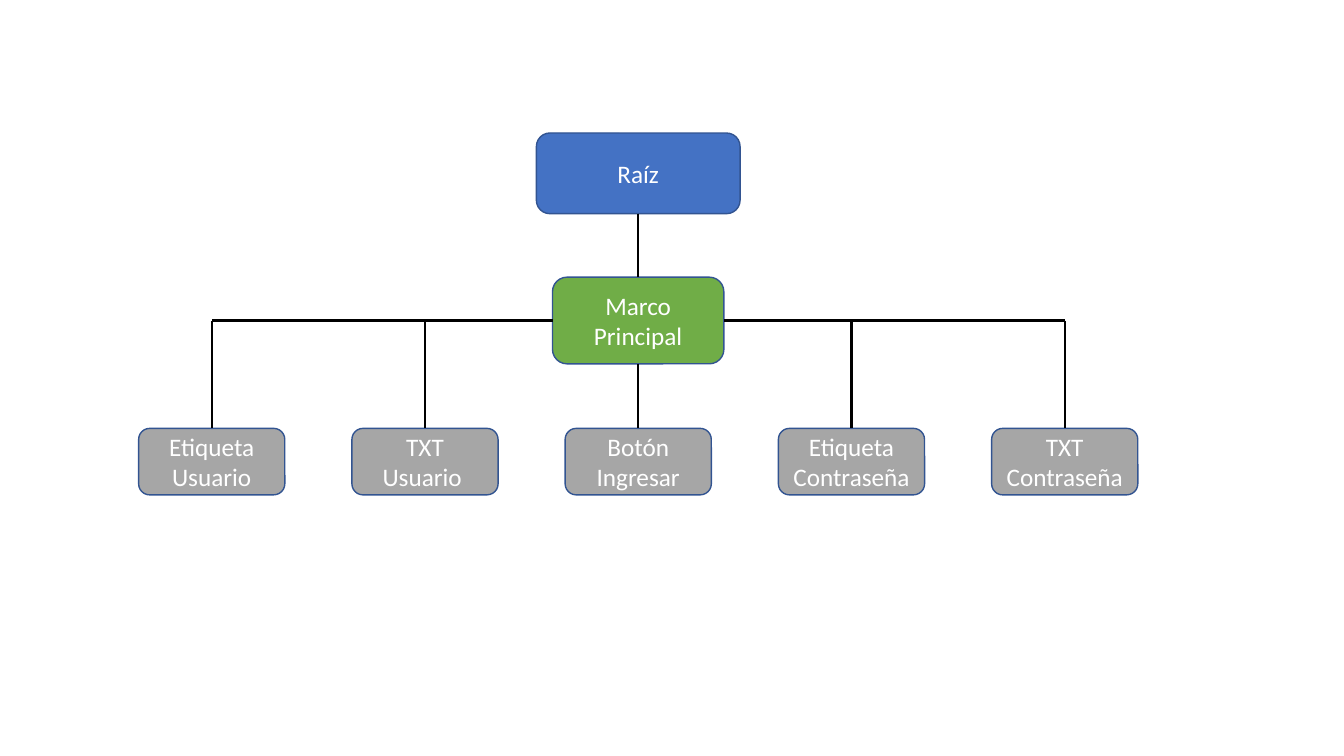
from pptx import Presentation
from pptx.dml.color import RGBColor
from pptx.enum import shapes, text
from pptx.oxml.ns import qn
from pptx.util import Inches, Pt

# Content
ROOT = "Raíz"
FRAME = "Marco Principal"
WIDGETS = ["Etiqueta Usuario", "TXT Usuario ", "Botón Ingresar",
           "Etiqueta Contraseña", "TXT Contraseña"]

THEME = {
    "root": "4472C4", "frame": "70AD47", "widget": "A6A6A6",
    "border": "325491", "link": "000000", "text": "FFFFFF",
    "font": "Calibri", "size": 18, "border_width": 1, "link_width": 1.5,
}

# Layout in inches: every level is centred on one axis
AXIS = 6.33
WIDGET_STEP = 2.115
ROOT_TOP, ROOT_WIDTH, ROOT_HEIGHT = 1.32, 2.02, 0.8
FRAME_TOP, FRAME_WIDTH, FRAME_HEIGHT = 2.75, 1.7, 0.86
WIDGET_TOP, WIDGET_WIDTH, WIDGET_HEIGHT = 4.25, 1.45, 0.66


def color(name):
    return RGBColor.from_string(THEME[name])


def add_node(page, label, fill, center, top, width, height):
    box = page.shapes.add_shape(
        shapes.MSO_SHAPE.ROUNDED_RECTANGLE, Inches(center - width / 2),
        Inches(top), Inches(width), Inches(height))
    box.shadow.inherit = False
    box.fill.solid()
    box.fill.fore_color.rgb = color(fill)
    box.line.color.rgb = color("border")
    box.line.width = Pt(THEME["border_width"])
    frame = box.text_frame
    frame.word_wrap = True
    frame.vertical_anchor = text.MSO_ANCHOR.MIDDLE
    para = frame.paragraphs[0]
    para.alignment = text.PP_ALIGN.CENTER
    span = para.add_run()
    span.text = label
    span.font.name = THEME["font"]
    span.font.size = Pt(THEME["size"])
    span.font.color.rgb = color("text")


def add_link(page, x1, y1, x2, y2):
    link = page.shapes.add_connector(
        shapes.MSO_CONNECTOR.STRAIGHT,
        Inches(x1), Inches(y1), Inches(x2), Inches(y2))
    link.line.color.rgb = color("link")
    link.line.width = Pt(THEME["link_width"])
    properties = link._element.spPr
    properties.append(properties.makeelement(qn("a:effectLst"), {}))


def main():
    deck = Presentation()
    deck.slide_width, deck.slide_height = Inches(13.33), Inches(7.5)
    page = deck.slides.add_slide(deck.slide_layouts[6])

    middle = len(WIDGETS) // 2
    centers = [AXIS + (i - middle) * WIDGET_STEP for i in range(len(WIDGETS))]
    frame_bottom = FRAME_TOP + FRAME_HEIGHT
    branch = FRAME_TOP + FRAME_HEIGHT / 2

    # Nodes
    add_node(page, ROOT, "root", AXIS, ROOT_TOP, ROOT_WIDTH, ROOT_HEIGHT)
    add_node(page, FRAME, "frame", AXIS, FRAME_TOP, FRAME_WIDTH, FRAME_HEIGHT)
    for label, center in zip(WIDGETS, centers):
        add_node(page, label, "widget", center, WIDGET_TOP, WIDGET_WIDTH, WIDGET_HEIGHT)

    # Trunk and side branches
    add_link(page, AXIS, ROOT_TOP + ROOT_HEIGHT, AXIS, FRAME_TOP)
    add_link(page, AXIS - FRAME_WIDTH / 2, branch, centers[0], branch)
    add_link(page, AXIS + FRAME_WIDTH / 2, branch, centers[-1], branch)

    # Drops to the widgets
    for i, center in enumerate(centers):
        start = frame_bottom if i == middle else branch
        add_link(page, center, start, center, WIDGET_TOP)

    deck.save("out.pptx")


if __name__ == "__main__":
    main()
